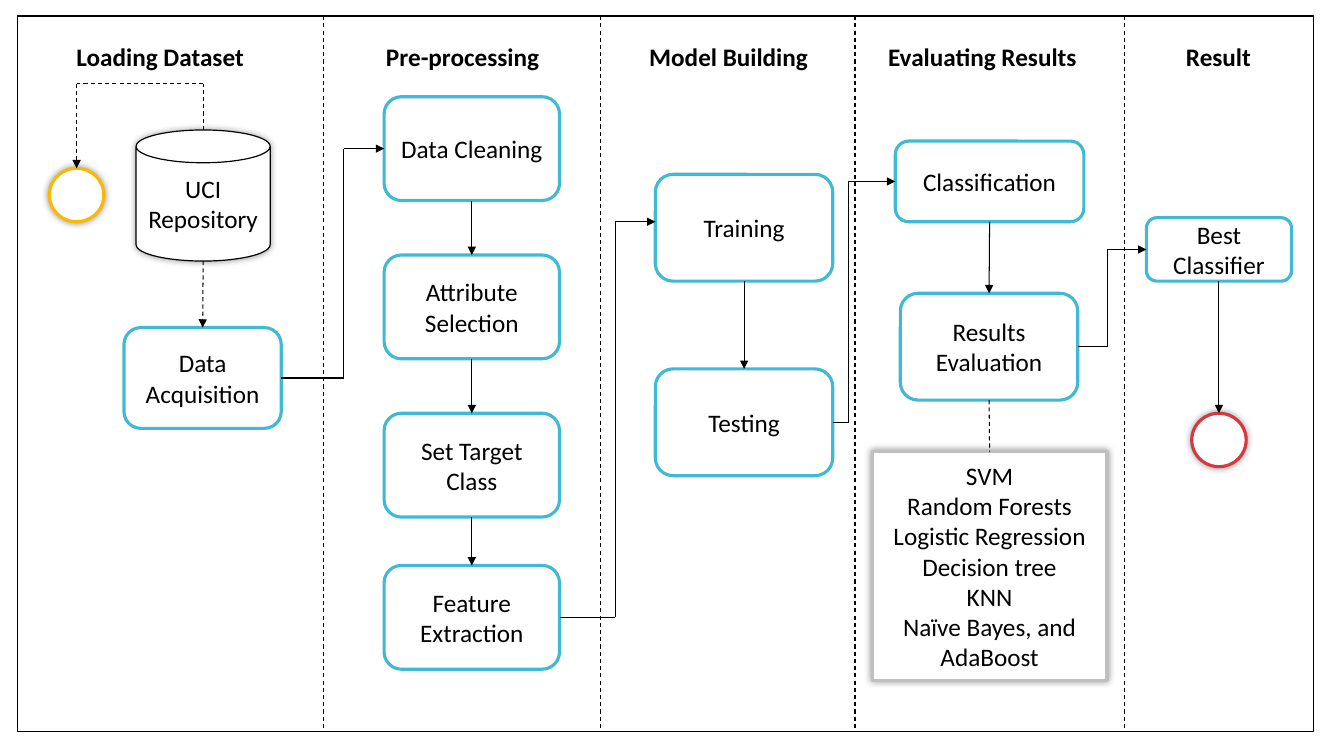
from collections import namedtuple
from lxml.etree import SubElement
from pptx import Presentation
from pptx.dml.color import RGBColor
from pptx.enum.dml import MSO_LINE
from pptx.enum.shapes import MSO_CONNECTOR, MSO_SHAPE
from pptx.enum.text import MSO_ANCHOR, MSO_AUTO_SIZE, PP_ALIGN
from pptx.oxml.ns import qn
from pptx.util import Inches, Pt

Box = namedtuple("Box", "left top width height")
CELL = Inches(0.1)
FRAME = Box(1.7, 1.6, 128.6, 71)
DIVIDERS = [32.1, 59.6, 84.8, 111.5]
BLACK, WHITE, TEAL = "000000", "FFFFFF", "40BAD2"
GOLD, RED, GRAY = "FAB900", "D5393D", "BFBFBF"
TOP, LEFT, BOTTOM, RIGHT = range(4)


def color(value):
    return RGBColor.from_string(value)


def place(lane, box):
    corner = (lane.left + box.left, lane.top + box.top)
    return [round(cells * CELL) for cells in (*corner, box.width, box.height)]


def write(para, text, bold=False):
    span = para.add_run()
    span.text = text
    span.font.name = "Calibri"
    span.font.size = Pt(18)
    span.font.bold = bold
    span.font.color.rgb = color(BLACK)


def add_node(page, lane, box, lines=(), kind=MSO_SHAPE.ROUNDED_RECTANGLE,
             outline=TEAL, weight=2.25, glow=False):
    node = page.shapes.add_shape(kind, *place(lane, box))
    node.fill.solid()
    node.fill.fore_color.rgb = color(WHITE)
    node.line.color.rgb = color(outline)
    node.line.width = Pt(weight)
    node.shadow.inherit = False
    if glow:
        effects = node._element.spPr.find(qn("a:effectLst"))
        shadow = SubElement(effects, qn("a:outerShdw"), blurRad=str(Pt(5)), dist="0",
                            dir="0", algn="ctr", rotWithShape="0")
        shade = SubElement(shadow, qn("a:srgbClr"), val=BLACK)
        SubElement(shade, qn("a:alpha"), val="40000")
    frame = node.text_frame
    frame.word_wrap = True
    frame.vertical_anchor = MSO_ANCHOR.MIDDLE
    for index, line in enumerate(lines):
        para = frame.add_paragraph() if index else frame.paragraphs[0]
        para.alignment = PP_ALIGN.CENTER
        write(para, line)
    return node


def add_heading(page, lane, left, width, text, align=PP_ALIGN.LEFT):
    box = page.shapes.add_textbox(*place(lane, Box(left, 2, width, 4)))
    frame = box.text_frame
    frame.word_wrap = True
    frame.auto_size = MSO_AUTO_SIZE.SHAPE_TO_FIT_TEXT
    frame.paragraphs[0].alignment = align
    write(frame.paragraphs[0], text, bold=True)


def middle(node, side):
    across = {LEFT: 0, RIGHT: node.width}.get(side, node.width // 2)
    down = {TOP: 0, BOTTOM: node.height}.get(side, node.height // 2)
    return node.left + across, node.top + down


def add_line(page, start, end, dashed=False, arrow=False):
    line = page.shapes.add_connector(MSO_CONNECTOR.STRAIGHT, *start, *end)
    line.line.color.rgb = color(BLACK)
    line.line.width = Pt(0.75)
    if dashed:
        line.line.dash_style = MSO_LINE.DASH
    if arrow:
        SubElement(line.line._get_or_add_ln(), qn("a:tailEnd"), type="triangle")
    SubElement(line._element.spPr, qn("a:effectLst"))
    return line


def add_path(page, points, dashed=False, arrow=True):
    last = len(points) - 2
    return [add_line(page, start, end, dashed, arrow and index == last)
            for index, (start, end) in enumerate(zip(points, points[1:]))]


def link_down(page, upper, lower, dashed=False, arrow=True):
    line = add_line(page, middle(upper, BOTTOM), middle(lower, TOP), dashed, arrow)
    if upper.auto_shape_type != MSO_SHAPE.CAN:
        line.begin_connect(upper, BOTTOM)
    line.end_connect(lower, TOP)


def link_across(page, source, target, bend, entry=None):
    start, end = middle(source, RIGHT), middle(target, LEFT)
    if entry is not None:
        end = end[0], round(entry * CELL)
    turn = round(bend * CELL)
    lines = add_path(page, [start, (turn, start[1]), (turn, end[1]), end])
    lines[0].begin_connect(source, RIGHT)
    if entry is None:
        lines[-1].end_connect(target, LEFT)


def draw_loading(page, lane):
    add_heading(page, lane, 4.9, 20.2, "Loading Dataset")
    begin = add_node(page, lane, Box(3.2, 15.1, 5.4, 5.3),
                     kind=MSO_SHAPE.FLOWCHART_CONNECTOR, outline=GOLD, glow=True)
    store = add_node(page, lane, Box(11.8, 11.3, 13.3, 13), ["UCI Repository"],
                     MSO_SHAPE.CAN, BLACK, 0.85, glow=True)
    acquisition = add_node(page, lane, Box(10.6, 30.9, 15.6, 10), ["Data Acquisition"])
    start, end = middle(store, TOP), middle(begin, TOP)
    level = round((lane.top + 6.7) * CELL)
    add_path(page, [start, (start[0], level), (end[0], level), end], dashed=True)
    link_down(page, store, acquisition, dashed=True)
    return acquisition


def draw_preprocessing(page, lane):
    add_heading(page, lane, 5.2, 19.2, "Pre-processing")
    steps = [("Data Cleaning", 8), ("Attribute Selection", 23.7),
             ("Set Target Class", 39.4), ("Feature Extraction", 54.5)]
    nodes = [add_node(page, lane, Box(6, top, 17.4, 10.3), [text]) for text, top in steps]
    for upper, lower in zip(nodes, nodes[1:]):
        link_down(page, upper, lower)
    return nodes[0], nodes[-1]


def draw_building(page, lane):
    add_heading(page, lane, 3.8, 20.8, "Model Building")
    training, testing = [add_node(page, lane, Box(5.4, top, 17.6, 10.6), [text])
                         for text, top in (("Training", 15.7), ("Testing", 35))]
    link_down(page, training, testing)
    return training, testing


def draw_evaluation(page, lane):
    add_heading(page, lane, 2.3, 22.1, "Evaluating Results")
    classification = add_node(page, lane, Box(4, 12.4, 18.7, 8), ["Classification"])
    evaluation = add_node(page, lane, Box(4.5, 27.5, 17.6, 10.6), ["Results Evaluation"])
    methods = ["SVM", "Random Forests Logistic Regression Decision tree", "KNN",
               "Naïve Bayes, and AdaBoost"]
    listing = add_node(page, lane, Box(1.7, 43.2, 23.3, 22.7), methods,
                       MSO_SHAPE.RECTANGLE, GRAY, glow=True)
    link_down(page, classification, evaluation)
    link_down(page, evaluation, listing, dashed=True, arrow=False)
    return classification, evaluation


def draw_result(page, lane):
    add_heading(page, lane, 2.6, 13.5, "Result", PP_ALIGN.CENTER)
    best = add_node(page, lane, Box(2.2, 20, 14.4, 6.3), ["Best Classifier"])
    finish = add_node(page, lane, Box(6.7, 39.4, 5.4, 5.3),
                      kind=MSO_SHAPE.FLOWCHART_CONNECTOR, outline=RED, glow=True)
    link_down(page, best, finish)
    return best


def draw_workflow(page, frame):
    add_node(page, Box(0, 0, 0, 0), frame, kind=MSO_SHAPE.RECTANGLE,
             outline=BLACK, weight=0.85)
    bottom = frame.top + frame.height
    for column in DIVIDERS:
        ends = [(round(column * CELL), round(row * CELL)) for row in (frame.top, bottom)]
        add_line(page, *ends, dashed=True)
    edges = [frame.left, *DIVIDERS, frame.left + frame.width]
    lanes = [Box(left, frame.top, right - left, frame.height)
             for left, right in zip(edges, edges[1:])]
    acquisition = draw_loading(page, lanes[0])
    cleaning, extraction = draw_preprocessing(page, lanes[1])
    training, testing = draw_building(page, lanes[2])
    classification, evaluation = draw_evaluation(page, lanes[3])
    best = draw_result(page, lanes[4])
    link_across(page, acquisition, cleaning, 34.1)
    link_across(page, extraction, training, 61, entry=22)
    link_across(page, testing, classification, 84.2)
    link_across(page, evaluation, best, 109.8)


def main():
    deck = Presentation()
    deck.slide_width = Inches(13.33)
    deck.slide_height = Inches(7.5)
    page = deck.slides.add_slide(deck.slide_layouts[6])
    draw_workflow(page, FRAME)
    deck.save("out.pptx")


if __name__ == "__main__":
    main()
